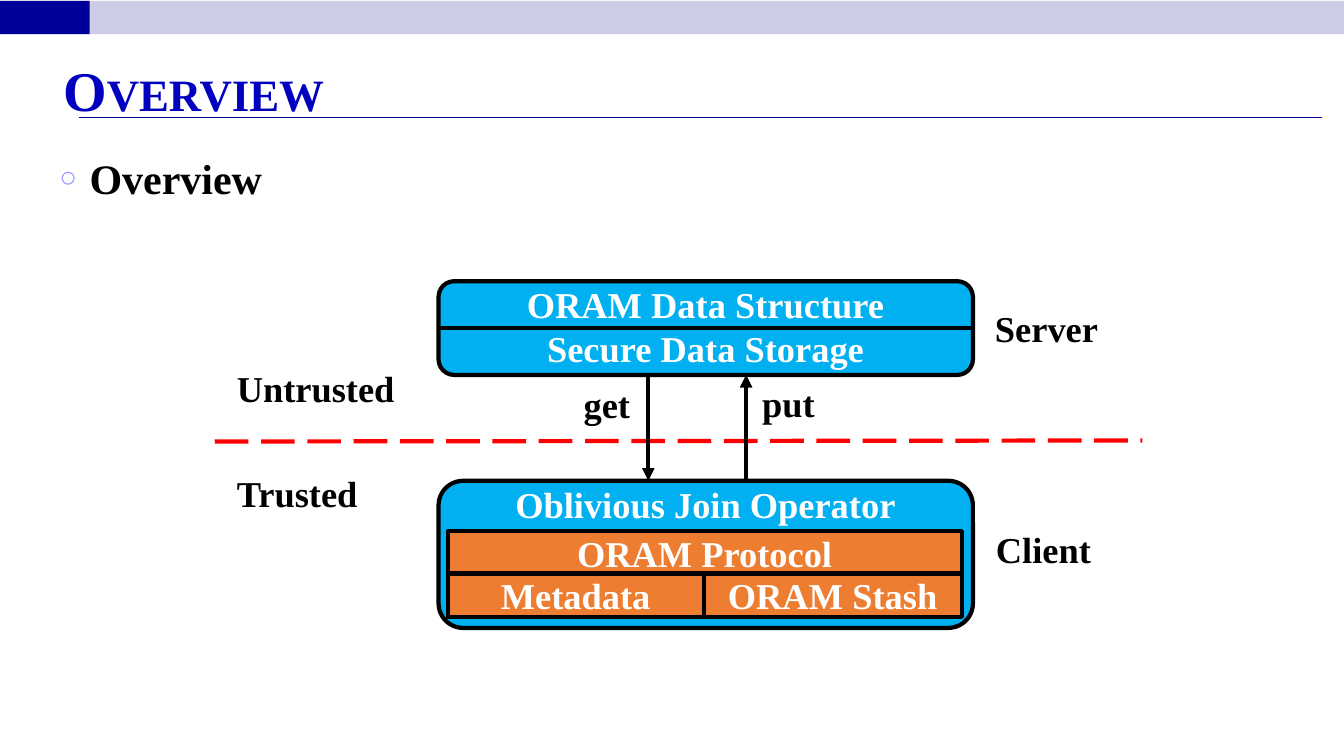
"""Builds the overview slide of an ORAM client and server architecture."""
from lxml import etree
from pptx import Presentation
from pptx.dml.color import RGBColor
from pptx.enum.dml import MSO_LINE
from pptx.enum.shapes import MSO_CONNECTOR, MSO_SHAPE
from pptx.enum.text import MSO_ANCHOR, PP_ALIGN
from pptx.oxml.ns import qn
from pptx.util import Inches, Pt

RECT, ROUNDED = MSO_SHAPE.RECTANGLE, MSO_SHAPE.ROUNDED_RECTANGLE
STRAIGHT, LONG_DASH = MSO_CONNECTOR.STRAIGHT, MSO_LINE.LONG_DASH
LEFT, CENTER = PP_ALIGN.LEFT, PP_ALIGN.CENTER
TOP, MIDDLE = MSO_ANCHOR.TOP, MSO_ANCHOR.MIDDLE

FONT = "Times New Roman"
BLACK, WHITE, RED, NAVY = "000000", "FFFFFF", "FF0000", "000099"
TITLE_BLUE, LAVENDER, BULLET = "0000BE", "CCCCE6", "9999FF"
SKY, ORANGE = "00B0F0", "ED7D31"

BOX_LEFT, BOX_WIDTH, LABEL_HEIGHT = 4.35, 5.3, 0.54
SERVER_TOP, SERVER_HEIGHT = 2.79, 0.93
CLIENT_TOP, CLIENT_HEIGHT = 4.77, 1.46
SERVER_BOTTOM = SERVER_TOP + SERVER_HEIGHT
SERVER_MIDDLE = SERVER_TOP + SERVER_HEIGHT / 2

BANDS = [(13.33, LAVENDER), (0.89, NAVY)]
PANELS = [(SERVER_TOP, SERVER_HEIGHT), (CLIENT_TOP, CLIENT_HEIGHT)]
CELLS = [
    ("ORAM Protocol", 4.44, 5.27, 5.1),
    ("Metadata", 4.44, 5.69, 2.54),
    ("ORAM Stash", 6.98, 5.69, 2.56),
]
SIDE_LABELS = [
    ("get", 5.69, 3.74, 0.74),
    ("put", 7.46, 3.73, 0.96),
    ("Server", 9.77, 2.99, 1.37),
    ("Client", 9.78, 5.18, 1.34),
    ("Untrusted", 2.25, 3.58, 1.99),
    ("Trusted", 2.25, 4.62, 1.99),
]
PANEL_LABELS = [
    ("ORAM Data Structure", 2.75),
    ("Secure Data Storage", 3.19),
    ("Oblivious Join Operator", 4.73),
]
ARROWS = [(6.43, SERVER_BOTTOM, CLIENT_TOP), (7.4, CLIENT_TOP, SERVER_BOTTOM)]


def color(value):
    return RGBColor.from_string(value)


def write(shape, text, size, ink, align=LEFT, anchor=TOP):
    frame = shape.text_frame
    frame.word_wrap = True
    frame.vertical_anchor = anchor
    frame.text = text
    para = frame.paragraphs[0]
    para.alignment = align
    font = para.runs[0].font
    font.name, font.size, font.bold = FONT, Pt(size), True
    font.color.rgb = color(ink)
    return para


def add_text(page, text, place, size=26, ink=BLACK, align=LEFT, anchor=TOP):
    box = page.shapes.add_textbox(*map(Inches, place))
    return write(box, text, size, ink, align, anchor)


def add_block(page, kind, place, fill, outlined=True):
    block = page.shapes.add_shape(kind, *map(Inches, place))
    block.shadow.inherit = False
    block.fill.solid()
    block.fill.fore_color.rgb = color(fill)
    if outlined:
        block.line.color.rgb = color(BLACK)
        block.line.width = Pt(3)
    else:
        block.line.fill.background()
    return block


def add_line(page, ends, ink=BLACK, width=3, dash=None, arrow=False):
    line = page.shapes.add_connector(STRAIGHT, *map(Inches, ends))
    line.line.color.rgb = color(ink)
    line.line.width = Pt(width)
    if dash:
        line.line.dash_style = dash
    properties = line._element.spPr
    if arrow:
        outline = properties.find(qn("a:ln"))
        etree.SubElement(outline, qn("a:tailEnd"), type="triangle")
    etree.SubElement(properties, qn("a:effectLst"))


def add_bullet(para):
    para.space_before = Pt(6)
    properties = para._p.get_or_add_pPr()
    properties.set("marL", str(Inches(0.3)))
    properties.set("indent", str(Inches(-0.3)))
    tint = etree.SubElement(properties, qn("a:buClr"))
    etree.SubElement(tint, qn("a:srgbClr"), val=BULLET)
    etree.SubElement(properties, qn("a:buSzPct"), val="70000")
    etree.SubElement(properties, qn("a:buFont"), typeface=FONT)
    etree.SubElement(properties, qn("a:buChar"), char="○")


def add_heading(page):
    for width, fill in BANDS:
        add_block(page, RECT, (0, 0.01, width, 0.33), fill, outlined=False)
    add_line(page, (0.78, 1.17, 13.11, 1.17), NAVY, 0.75)
    title = add_text(page, "Overview", (0.53, 0.51, 12.25, 0.74), 40, TITLE_BLUE, anchor=MIDDLE)
    title.runs[0].font._element.set("cap", "small")
    add_bullet(add_text(page, "Overview", (0.49, 1.46, 11.97, 5.48), 30))


def add_diagram(page):
    for top, height in PANELS:
        add_block(page, ROUNDED, (BOX_LEFT, top, BOX_WIDTH, height), SKY)
    add_line(page, (BOX_LEFT, SERVER_MIDDLE, BOX_LEFT + BOX_WIDTH, SERVER_MIDDLE))
    for text, left, top, width in CELLS:
        cell = add_block(page, RECT, (left, top, width, 0.43), ORANGE)
        write(cell, text, 26, WHITE, CENTER, MIDDLE)
    add_line(page, (2.13, 4.38, 11.33, 4.37), RED, dash=LONG_DASH)
    for x, start, end in ARROWS:
        add_line(page, (x, start, x, end), arrow=True)
    for text, left, top, width in SIDE_LABELS:
        add_text(page, text, (left, top, width, LABEL_HEIGHT))
    for text, top in PANEL_LABELS:
        add_text(page, text, (BOX_LEFT, top, BOX_WIDTH, LABEL_HEIGHT), ink=WHITE, align=CENTER)


def main():
    deck = Presentation()
    deck.slide_width, deck.slide_height = Inches(13.33), Inches(7.5)
    page = deck.slides.add_slide(deck.slide_layouts[6])
    add_heading(page)
    add_diagram(page)
    deck.save("out.pptx")


if __name__ == "__main__":
    main()
